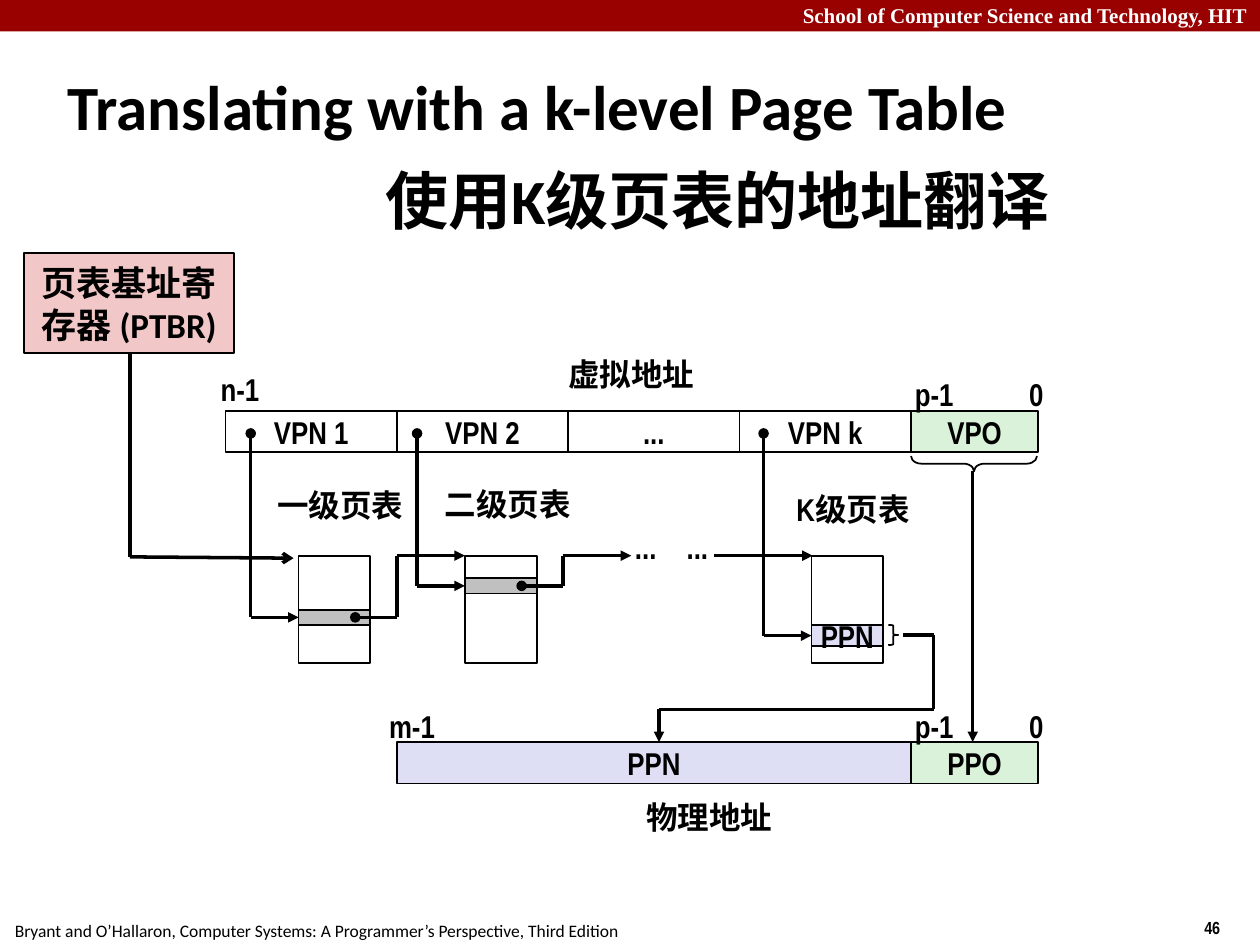
"""Build the slide on address translation with a k-level page table."""
from lxml import etree
from pptx import Presentation
from pptx.dml.color import RGBColor
from pptx.enum.shapes import MSO_CONNECTOR, MSO_SHAPE
from pptx.enum.text import MSO_ANCHOR, PP_ALIGN
from pptx.oxml.ns import qn
from pptx.util import Inches, Pt

RECTANGLE, RIGHT_BRACE = MSO_SHAPE.RECTANGLE, MSO_SHAPE.RIGHT_BRACE
STRAIGHT = MSO_CONNECTOR.STRAIGHT
MIDDLE = MSO_ANCHOR.MIDDLE
LEFT, CENTER, RIGHT = PP_ALIGN.LEFT, PP_ALIGN.CENTER, PP_ALIGN.RIGHT
color = RGBColor.from_string
BLACK, WHITE, RED, PINK = "000000", "FFFFFF", "990000", "F1C7C7"
GREEN, LILAC, GRAY = "DBF2DA", "DEDFF5", "C0C0C0"
NARROW, SANS, SERIF = "Arial Narrow", "Calibri", "Times New Roman"

FIELD_WIDTH, OFFSET_WIDTH, FIELD_HEIGHT = 1.36, 1.01, 0.33
FIELD_LEFTS = [1.79 + FIELD_WIDTH * column for column in range(5)]
OFFSET_LEFT = FIELD_LEFTS[4]
VIRTUAL_TOP, PHYSICAL_TOP = 3.26, 5.89
TABLE_TOP, TABLE_WIDTH, TABLE_HEIGHT = 4.41, 0.57, 0.85
LABEL_HEIGHT = 0.4

presentation = Presentation()
presentation.slide_width, presentation.slide_height = Inches(10), Inches(7.5)
slide = presentation.slides.add_slide(presentation.slide_layouts[6])
shapes = slide.shapes


def add_box(left, top, width, height, text="", fill=None, outline=BLACK, size=18,
            font=NARROW, bold=True, ink=BLACK, align=CENTER, wrap=False, kind=RECTANGLE):
    """Add a shape with an optional fill, outline and text."""
    shape = shapes.add_shape(kind, *map(Inches, (left, top, width, height)))
    shape.shadow.inherit = False
    if fill:
        shape.fill.solid()
        shape.fill.fore_color.rgb = color(fill)
    else:
        shape.fill.background()
    if outline:
        shape.line.color.rgb = color(outline)
        shape.line.width = Pt(1)
    else:
        shape.line.fill.background()
    text_frame = shape.text_frame
    text_frame.word_wrap = wrap
    text_frame.vertical_anchor = MIDDLE
    text_frame.text = text
    for paragraph in text_frame.paragraphs:
        paragraph.alignment = align
        for run in paragraph.runs:
            run.font.name, run.font.size, run.font.bold = font, Pt(size), bold
            run.font.color.rgb = color(ink)
    return shape


def add_wire(*points, head=None, tail="triangle"):
    """Join the points with straight connectors and mark both ends."""
    last = len(points) - 2
    for index, (start, end) in enumerate(zip(points, points[1:])):
        connector = shapes.add_connector(STRAIGHT, *map(Inches, start + end))
        connector.line.color.rgb = color(BLACK)
        connector.line.width = Pt(2)
        properties = connector._element.spPr
        etree.SubElement(properties, qn("a:effectLst"))
        line = properties.find(qn("a:ln"))
        if head and index == 0:
            etree.SubElement(line, qn("a:headEnd"), type=head)
        if tail and index == last:
            etree.SubElement(line, qn("a:tailEnd"), type=tail)


add_box(0, 0, 10, 0.25, fill=RED, outline=None)
add_box(0, -0.03, 10, 0.3, "School of Computer Science and Technology, HIT", outline=None,
        size=12, font=SERIF, ink=WHITE, align=RIGHT, wrap=True)
add_box(0.02, 7.25, 5.2, 0.27,
        "Bryant and O’Hallaron, Computer Systems: A Programmer’s Perspective, Third Edition",
        outline=None, size=10, font=SANS, bold=False, align=LEFT, wrap=True)
add_box(9.46, 7.23, 0.5, 0.27, "46", outline=None, size=10, align=LEFT, wrap=True)

title = add_box(0.44, 0.27, 9.06, 1.73,
                "Translating with a k-level Page Table\n使用K级页表的地址翻译",
                outline=None, size=36, font=SANS, align=LEFT, wrap=True)
for paragraph in title.text_frame.paragraphs:
    paragraph.line_spacing = 1.25
title.text_frame.paragraphs[1]._p.get_or_add_pPr().set("marL", str(Inches(2.52)))

add_box(0.19, 2.01, 1.67, 0.79, "页表基址寄存器 (PTBR)", fill=PINK, size=20, font=SANS, wrap=True)
add_wire((1.03, 2.79), (1.03, 4.42), (2.33, 4.43), tail="arrow")

for left, text in zip(FIELD_LEFTS, ["VPN 1", "VPN 2", "...", "VPN k"]):
    add_box(left, VIRTUAL_TOP, FIELD_WIDTH, FIELD_HEIGHT, text)
add_box(FIELD_LEFTS[1], PHYSICAL_TOP, 3 * FIELD_WIDTH, FIELD_HEIGHT, "PPN", fill=LILAC)
for top, text in [(VIRTUAL_TOP, "VPO"), (PHYSICAL_TOP, "PPO")]:
    add_box(OFFSET_LEFT, top, OFFSET_WIDTH, FIELD_HEIGHT, text, fill=GREEN)
    for left, width, bit in [(7.16, 0.51, "p-1"), (8.07, 0.31, "0")]:
        add_box(left, top - 0.33, width, LABEL_HEIGHT, bit, outline=None)

for left, entry_top, entry_height, fill, text in [
    (2.37, 4.84, 0.12, GRAY, ""),
    (3.69, 4.59, 0.12, GRAY, ""),
    (6.44, 4.96, 0.17, LILAC, "PPN"),
]:
    entry_middle = entry_top + entry_height / 2
    index_x = left - 0.38
    add_box(left, TABLE_TOP, TABLE_WIDTH, TABLE_HEIGHT)
    add_box(left, entry_top, TABLE_WIDTH, entry_height, text, fill=fill)
    add_wire((index_x, 3.44), (index_x, entry_middle), (left, entry_middle), head="oval")
    if not text:
        start_x, turn_x = left + 0.45, left + 0.78
        add_wire((start_x, entry_middle), (turn_x, entry_middle), (turn_x, TABLE_TOP),
                 (left + 1.32, TABLE_TOP), head="oval")

add_wire((5.67, TABLE_TOP), (6.45, TABLE_TOP))
add_wire((7.72, 3.74), (7.72, PHYSICAL_TOP))
add_wire((7.17, 5.04), (7.41, 5.04), (7.41, 5.63), (5.23, 5.63), (5.23, PHYSICAL_TOP))

for left, top, width, text in [
    (1.65, 2.89, 0.51, "n-1"),
    (2.99, 5.56, 0.56, "m-1"),
    (4.41, 2.77, 1.2, "虚拟地址"),
    (5.03, 6.28, 1.2, "物理地址"),
    (4.94, 4.14, 0.37, "..."),
    (5.35, 4.14, 0.37, "..."),
    (2.1, 3.81, 1.2, "一级页表"),
    (3.43, 3.8, 1.2, "二级页表"),
    (6.19, 3.84, 1.16, "K级页表"),
]:
    add_box(left, top, width, LABEL_HEIGHT, text, outline=None)

offset_brace = add_box(7.67, 3.18, 0.12, 1, kind=RIGHT_BRACE)
offset_brace.rotation = 90
offset_brace.adjustments[0] = 0.69
entry_brace = add_box(7.05, 4.96, 0.08, 0.16, kind=RIGHT_BRACE)

presentation.save("out.pptx")
